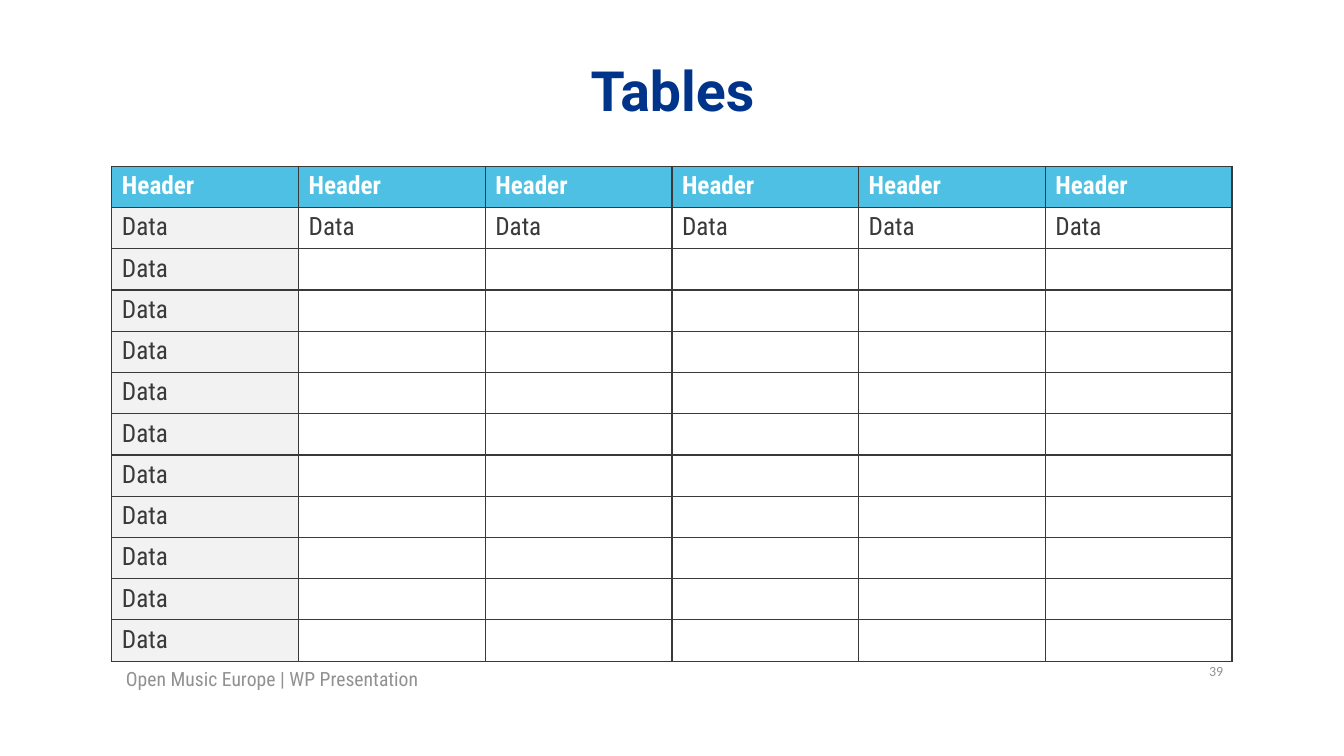
from lxml import etree
from pptx import Presentation
from pptx.dml.color import RGBColor
from pptx.enum.text import MSO_ANCHOR, PP_ALIGN
from pptx.oxml.ns import qn
from pptx.util import Inches, Pt

LEFT, CENTER, RIGHT = PP_ALIGN.LEFT, PP_ALIGN.CENTER, PP_ALIGN.RIGHT
MIDDLE = MSO_ANCHOR.MIDDLE

NAVY = RGBColor(0x00, 0x34, 0x8A)
SKY = RGBColor(0x4E, 0xC0, 0xE4)
PALE_GRAY = RGBColor(0xF2, 0xF2, 0xF2)
GRAY = RGBColor(0x91, 0x91, 0x91)
CHARCOAL = RGBColor(0x39, 0x39, 0x39)
WHITE = RGBColor(0xFF, 0xFF, 0xFF)

TITLE_FONT = "Roboto"
BODY_FONT = "Roboto Condensed"
NUMBER_FONT = "Calibri"

COLUMN_COUNT = 6
DATA_ROW_COUNT = 11
TABLE_ROWS = (
    [["Header"] * COLUMN_COUNT, ["Data"] * COLUMN_COUNT]
    + [["Data"] + [""] * (COLUMN_COUNT - 1)] * (DATA_ROW_COUNT - 1)
)


def style_paragraph(paragraph, font_name, size, color, bold=False):
    font = paragraph.font
    font.name = font_name
    font.size = Pt(size)
    font.color.rgb = color
    font.bold = bold


def add_text(slide, box, text, font_name, size, color, alignment=LEFT, bold=False):
    shape = slide.shapes.add_textbox(*(Inches(length) for length in box))
    frame = shape.text_frame
    frame.word_wrap = True
    frame.vertical_anchor = MIDDLE
    paragraph = frame.paragraphs[0]
    paragraph.text = text
    paragraph.alignment = alignment
    style_paragraph(paragraph, font_name, size, color, bold)
    return frame


def add_title(slide, box, text):
    frame = add_text(slide, box, text, TITLE_FONT, 39.6, NAVY, CENTER, True)
    frame.margin_top = frame.margin_bottom = 0
    frame.paragraphs[0].line_spacing = 0.9


def add_borders(cell, color, width):
    properties = cell._tc.get_or_add_tcPr()
    for side in ("a:lnL", "a:lnR", "a:lnT", "a:lnB"):
        line = etree.SubElement(properties, qn(side), w=str(Pt(width)))
        fill = etree.SubElement(line, qn("a:solidFill"))
        etree.SubElement(fill, qn("a:srgbClr"), val=str(color))


def add_data_table(slide, box, rows):
    left, top, width, height = (Inches(length) for length in box)
    table = slide.shapes.add_table(
        len(rows), len(rows[0]), left, top, width, height
    ).table
    table.first_row = False
    table.horz_banding = False

    for row_index, row in enumerate(rows):
        is_header = row_index == 0
        for column_index, text in enumerate(row):
            cell = table.cell(row_index, column_index)
            add_borders(cell, CHARCOAL, 1)
            # Header row and first column are tinted
            if is_header or column_index == 0:
                cell.fill.solid()
                cell.fill.fore_color.rgb = SKY if is_header else PALE_GRAY
            else:
                cell.fill.background()
            cell.text = text
            color = WHITE if is_header else CHARCOAL
            style_paragraph(
                cell.text_frame.paragraphs[0], BODY_FONT, 18, color, is_header
            )


def add_footer(slide, box, text, number):
    left, top, width, height = box
    number_width = 0.75
    add_text(slide, (left, top + 0.08, width - number_width - 0.03, height),
             text, BODY_FONT, 14, GRAY)
    add_text(slide, (left + width - number_width, top, number_width, height),
             number, NUMBER_FONT, 10, GRAY, RIGHT)


def main():
    presentation = Presentation()
    presentation.slide_width = Inches(13.33)
    presentation.slide_height = Inches(7.5)
    slide = presentation.slides.add_slide(presentation.slide_layouts[6])

    add_title(slide, (1.58, 0.72, 10.18, 0.42), "Tables")
    add_footer(slide, (1.15, 6.53, 11.08, 0.25),
               "Open Music Europe | WP Presentation", "39")
    add_data_table(slide, (1.11, 1.65, 11.11, 4.91), TABLE_ROWS)

    presentation.save("out.pptx")


if __name__ == "__main__":
    main()
